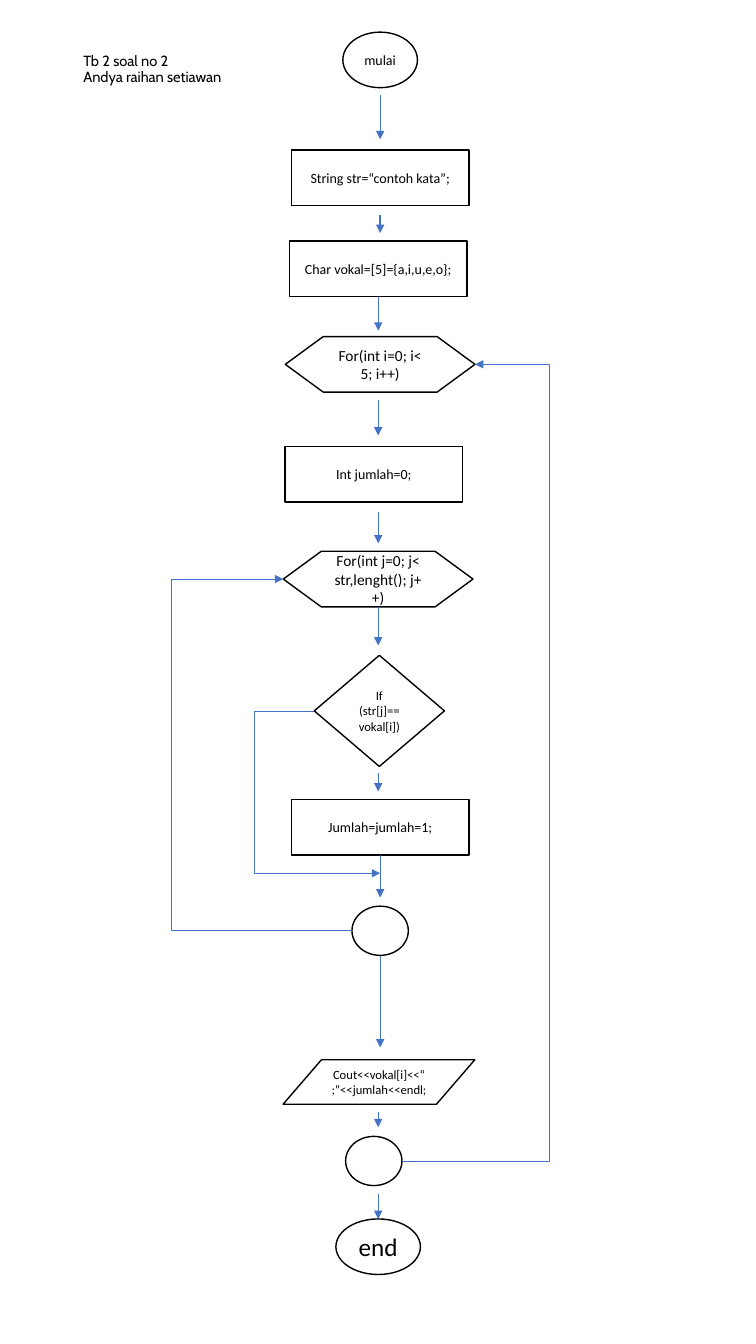
from lxml.etree import SubElement
from pptx import Presentation
from pptx.dml.color import RGBColor
from pptx.enum.shapes import MSO_CONNECTOR, MSO_SHAPE
from pptx.enum.text import MSO_ANCHOR, PP_ALIGN
from pptx.oxml.ns import qn
from pptx.util import Cm, Pt

# Content (lengths in cm)
COLORS = {"paper": "FFFFFF", "ink": "000000", "arrow": "4472C4"}
TITLE = "Tb 2 soal no 2\vAndya raihan setiawan"

# Kind: preset shape, width, height, font size
KINDS = {
    "start": (MSO_SHAPE.FLOWCHART_CONNECTOR, 1.88, 1.4, 10),
    "process": (MSO_SHAPE.FLOWCHART_PROCESS, 4.47, 1.4, 10),
    "loop": (MSO_SHAPE.FLOWCHART_PREPARATION, 4.78, 1.4, 11),
    "decision": (MSO_SHAPE.FLOWCHART_DECISION, 3.28, 2.8, 9),
    "output": (MSO_SHAPE.FLOWCHART_DATA, 4.83, 1.12, 9),
    "junction": (MSO_SHAPE.FLOWCHART_CONNECTOR, 1.42, 1.24, 10),
    "end": (MSO_SHAPE.OVAL, 2.13, 1.4, 18),
}

# Name: kind, centre x, top, text
STEPS = {
    "start": ("start", 9.58, 0.81, "mulai"),
    "string": ("process", 9.58, 3.78, "String str=“contoh kata”;"),
    "vowels": ("process", 9.53, 6.07, "Char vokal=[5]={a,i,u,e,o};"),
    "vowel loop": ("loop", 9.58, 8.48, "For(int i=0; i< 5; i++)"),
    "counter": ("process", 9.42, 11.25, "Int jumlah=0;"),
    "letter loop": ("loop", 9.53, 13.89, "For(int j=0; j< str,lenght(); j++)"),
    "match": ("decision", 9.56, 16.51, "If (str[j]==vokal[i])"),
    "add": ("process", 9.58, 20.14, "Jumlah=jumlah=1;"),
    "letter junction": ("junction", 9.58, 22.83, ""),
    "print": ("output", 9.55, 26.7, "Cout<<vokal[i]<<“;”<<jumlah<<endl;"),
    "vowel junction": ("junction", 9.42, 28.63, ""),
    "end": ("end", 9.53, 30.71, "end"),
}

# Downward arrows: x, from y, to y, line width
ARROWS = [
    (9.58, 2.39, 3.51, 0.5), (9.58, 5.41, 5.87, 1), (9.53, 7.47, 8.33, 0.5),
    (9.53, 10.08, 10.97, 0.5), (9.53, 12.9, 13.69, 1),
    (9.53, 15.29, 16.26, 0.5), (9.53, 19.48, 19.94, 0.5),
    (9.58, 21.54, 22.61, 0.5), (9.58, 24.08, 26.39, 0.5),
    (9.53, 28.02, 28.4, 0.5), (9.53, 30.07, 30.71, 0.5),
]


def color(name):
    return RGBColor.from_string(COLORS[name])


def side(name, direction):
    """Middle of a step's left (-1) or right (1) side."""
    kind, center, top, _ = STEPS[name]
    _, width, height, _ = KINDS[kind]
    return center + direction * width / 2, top + height / 2


# Elbow arrows: from, to, x of the vertical run
MERGE_POINT = (9.58, 22)
ELBOWS = [
    (side("vowel junction", 1), side("vowel loop", 1), 13.84),
    (side("match", -1), MERGE_POINT, 6.4),
    (side("letter junction", -1), side("letter loop", -1), 4.32),
]

presentation = Presentation()
presentation.slide_width, presentation.slide_height = Cm(19.05), Cm(33.86)
slide = presentation.slides.add_slide(presentation.slide_layouts[6])


def write(shape, text, font_name, size, alignment):
    frame = shape.text_frame
    frame.word_wrap = True
    frame.vertical_anchor = MSO_ANCHOR.MIDDLE
    paragraph = frame.paragraphs[0]
    paragraph.text = text
    paragraph.alignment = alignment
    paragraph.font.name = font_name
    paragraph.font.size = Pt(size)
    paragraph.font.color.rgb = color("ink")
    return paragraph


def add_step(kind, center, top, text):
    preset, width, height, size = KINDS[kind]
    shape = slide.shapes.add_shape(
        preset, Cm(center - width / 2), Cm(top), Cm(width), Cm(height))
    shape.shadow.inherit = False
    shape.fill.solid()
    shape.fill.fore_color.rgb = color("paper")
    shape.line.color.rgb = color("ink")
    shape.line.width = Pt(1)
    if text:
        write(shape, text, "Calibri", size, PP_ALIGN.CENTER)


def add_arrow(kind, start, finish, width):
    connector = slide.shapes.add_connector(
        kind, *(Cm(value) for value in (*start, *finish)))
    connector.line.color.rgb = color("arrow")
    connector.line.width = Pt(width)
    properties = connector._element.spPr
    SubElement(properties.find(qn("a:ln")), qn("a:tailEnd"), type="triangle")
    SubElement(properties, qn("a:effectLst"))
    return connector


# Steps
for step in STEPS.values():
    add_step(*step)

# Straight arrows
for x, top, bottom, width in ARROWS:
    add_arrow(MSO_CONNECTOR.STRAIGHT, (x, top), (x, bottom), width)

# Elbow arrows, bent at the share of the width where the vertical run lies
for start, finish, bend in ELBOWS:
    connector = add_arrow(MSO_CONNECTOR.ELBOW, start, finish, 0.5)
    share = round((bend - start[0]) / (finish[0] - start[0]) * 100000)
    guides = connector._element.spPr.find(qn("a:prstGeom")).get_or_add_avLst()
    SubElement(guides, qn("a:gd"), name="adj1", fmla=f"val {share}")

# Title
title = slide.shapes.add_textbox(Cm(1.85), Cm(0.81), Cm(9.9), Cm(1.88))
write(title, TITLE, "Cabin", 10.5, PP_ALIGN.LEFT).line_spacing = 0.9

presentation.save("out.pptx")
